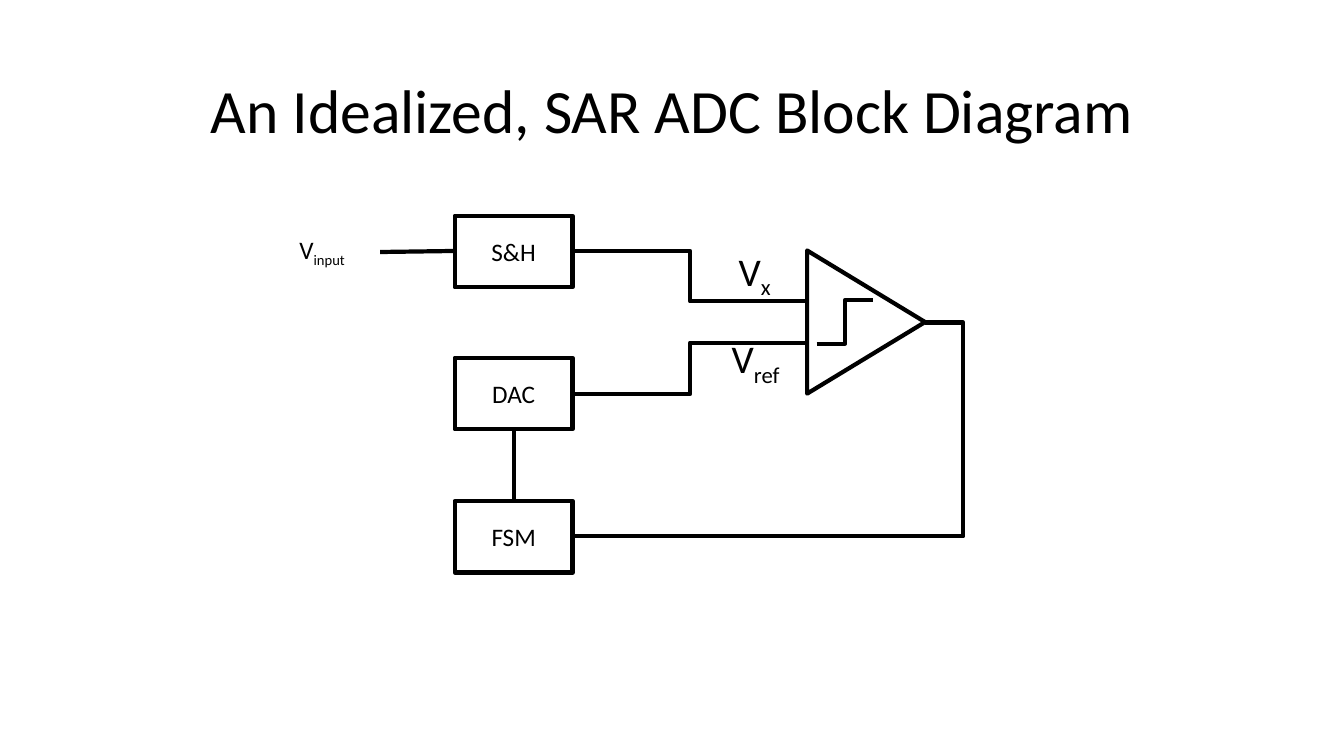
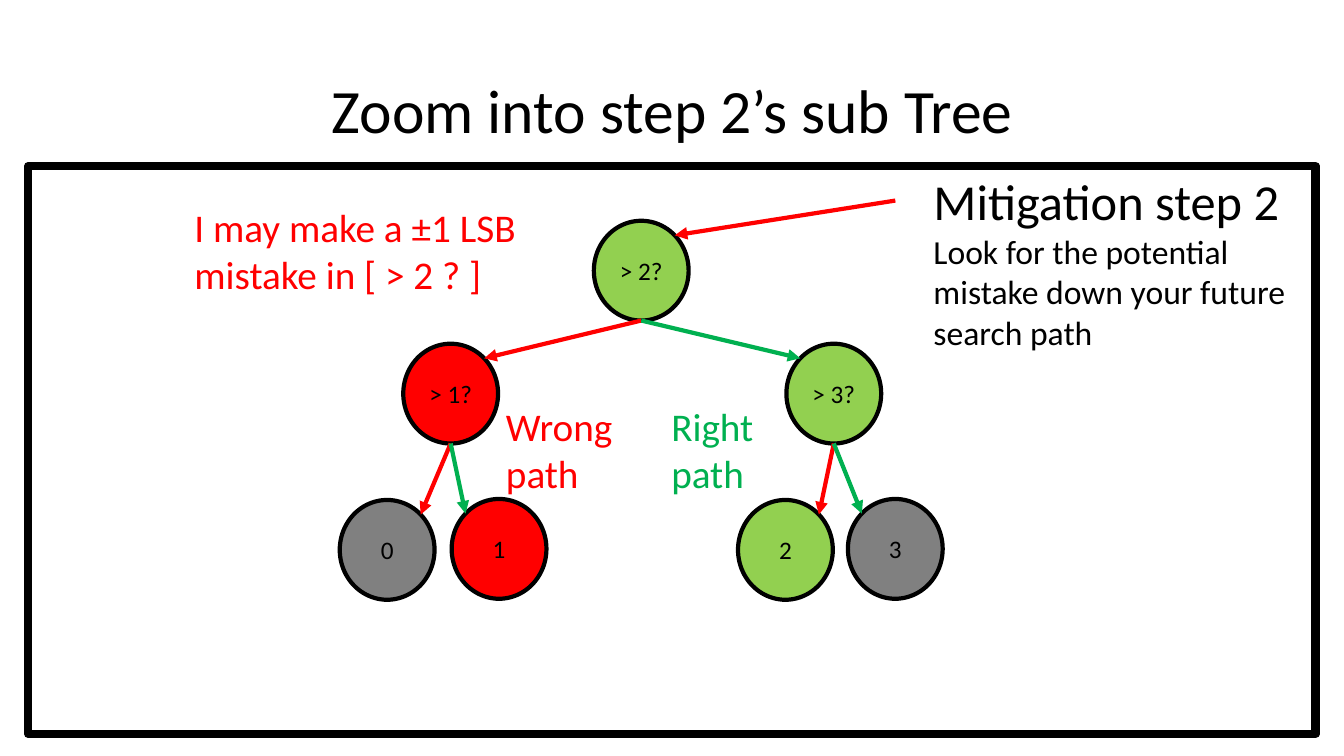
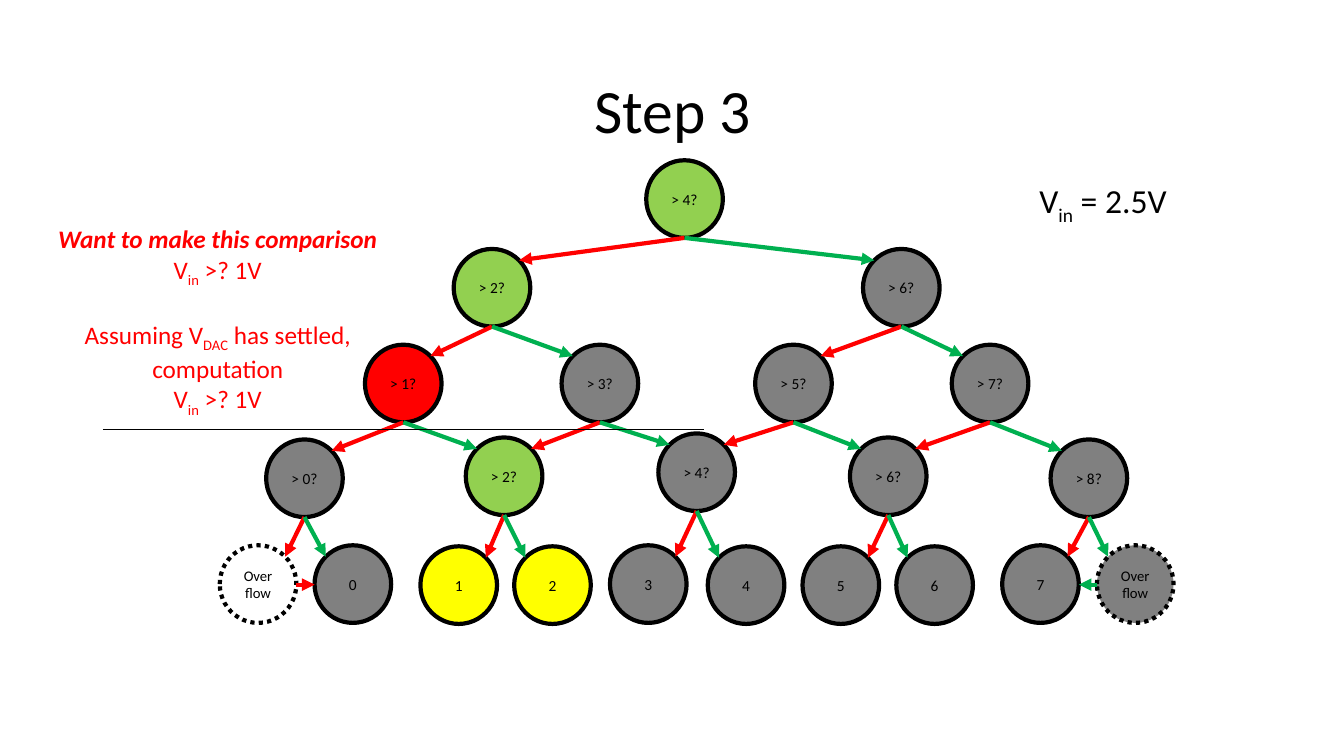
import dataclasses

import pptx
import pptx.dml.color
import pptx.enum.dml
import pptx.enum.shapes
import pptx.enum.text
import pptx.oxml.ns
import pptx.util
from lxml import etree

RGB = pptx.dml.color.RGBColor
BLACK = RGB(0x00, 0x00, 0x00)
RED = RGB(0xFF, 0x00, 0x00)
GREEN = RGB(0x00, 0xB0, 0x50)
LIME = RGB(0x92, 0xD0, 0x50)
GRAY = RGB(0x80, 0x80, 0x80)
YELLOW = RGB(0xFF, 0xFF, 0x00)

FONT = "Calibri"
SHAPE = pptx.enum.shapes.MSO_SHAPE
CONNECTOR = pptx.enum.shapes.MSO_CONNECTOR
ANCHOR = pptx.enum.text.MSO_ANCHOR
ALIGN = pptx.enum.text.PP_ALIGN
STROKE = 3
DIAGONAL = 0.5 ** 0.5


@dataclasses.dataclass
class Run:
    text: str
    size: float = None
    sub: bool = False
    bold: bool = False
    italic: bool = False


def px(n):
    """100 px make one inch."""
    return pptx.util.Emu(round(n * 9144))


def add_xml(parent, tag, **attrs):
    return etree.SubElement(parent, pptx.oxml.ns.qn(tag), attrs)


def write(tf, paragraphs, size, color=BLACK, align=ALIGN.CENTER):
    """Fill a text frame; each paragraph is a list of Run."""
    tf.word_wrap = True
    for i, runs in enumerate(paragraphs):
        p = tf.paragraphs[0] if i == 0 else tf.add_paragraph()
        p.alignment = align
        for run in runs:
            r = p.add_run()
            r.text = run.text
            r.font.name = FONT
            r.font.size = pptx.util.Pt(run.size or size)
            r.font.color.rgb = color
            if run.bold:
                r.font.bold = True
            if run.italic:
                r.font.italic = True
            if run.sub:
                r.font._element.set("baseline", "-25000")


def text(s, box, paragraphs, size, color=BLACK, align=ALIGN.LEFT, anchor=ANCHOR.TOP):
    tf = s.shapes.add_textbox(*map(px, box)).text_frame
    tf.vertical_anchor = anchor
    write(tf, paragraphs, size, color, align)
    return tf


def signal(s, box, name, index, size):
    """Signal name with a subscript, centred in its box."""
    text(s, box, [[Run(name), Run(index, sub=True)]], size,
         align=ALIGN.CENTER, anchor=ANCHOR.MIDDLE)


def shape(s, kind, box, lines=(), size=18, fill=None, width=STROKE):
    sp = s.shapes.add_shape(kind, *map(px, box))
    sp.shadow.inherit = False
    if fill is None:
        sp.fill.background()
    else:
        sp.fill.solid()
        sp.fill.fore_color.rgb = fill
    sp.line.color.rgb = BLACK
    sp.line.width = pptx.util.Pt(width)
    if lines:
        sp.text_frame.vertical_anchor = ANCHOR.MIDDLE
        write(sp.text_frame, [[Run(line)] for line in lines], size)
    return sp


def connect(s, start, end, color=BLACK, width=STROKE, kind=CONNECTOR.STRAIGHT,
            arrow=False, bend=None):
    """Line between two points; bend is the elbow's share of the way across."""
    cn = s.shapes.add_connector(kind, *map(px, (*start, *end)))
    cn.line.color.rgb = color
    cn.line.width = pptx.util.Pt(width)
    if arrow:
        add_xml(cn.line._get_or_add_ln(), "a:tailEnd", type="triangle")
    sp_pr = cn._element.spPr
    if bend is not None:
        guides = sp_pr.prstGeom.get_or_add_avLst()
        add_xml(guides, "a:gd", name="adj1", fmla=f"val {round(bend * 100000)}")
    add_xml(sp_pr, "a:effectLst")


def elbow(s, start, end, bend=None):
    connect(s, start, end, kind=CONNECTOR.ELBOW, bend=bend)


class Tree:
    """Circles of one size, joined by red (left) and green (right) arrows."""

    def __init__(self, s, width, height, size):
        self.s, self.width, self.height, self.size = s, width, height, size

    def row(self, nodes):
        for label, x, y, fill in nodes:
            lines = label.split()if label == "Over flow" else [label]
            size = 10.5 if len(lines) > 1 else self.size
            sp = shape(self.s, SHAPE.OVAL, (x, y, self.width, self.height),
                       lines, size, fill)
            if len(lines) > 1:
                sp.line.dash_style = pptx.enum.dml.MSO_LINE.ROUND_DOT
        return [(x + self.width / 2, y + self.height / 2) for _, x, y, _ in nodes]

    def corner(self, center, side):
        """Upper diagonal point of a circle; side is -1 for left, 1 for right."""
        x, y = center
        return (x + side * self.width / 2 * DIAGONAL, y - self.height / 2 * DIAGONAL)

    def link(self, parents, children, step=2):
        """Join parent i to children step * i and step * i + 1."""
        for i, (x, y) in enumerate(parents):
            left, right = children[step * i:step * i + 2]
            start = (x, y + self.height / 2)
            connect(self.s, start, self.corner(left, 1), RED, arrow=True)
            connect(self.s, start, self.corner(right, -1), GREEN, arrow=True)


def new_slide(prs, title):
    s = prs.slides.add_slide(prs.slide_layouts[6])
    tf = text(s, (92, 40, 1150, 145), [[Run(title)]], 44,
              align=ALIGN.CENTER, anchor=ANCHOR.MIDDLE)
    tf.paragraphs[0].line_spacing = 0.9
    return s


def block_diagram(prs):
    s = new_slide(prs, "An Idealized, SAR ADC Block Diagram")
    left, width, height = 451, 117, 71
    right, middle = left + width, left + width / 2
    for label, top in (("S&H", 214), ("DAC", 355), ("FSM", 497)):
        shape(s, SHAPE.RECTANGLE, (left, top, width, height), [label])

    comparator = shape(s, SHAPE.ISOSCELES_TRIANGLE, (788, 261, 142, 117))
    comparator.rotation = 90
    elbow(s, (810, 341), (866, 298))

    elbow(s, (801, 340), (right, 391))
    elbow(s, (801, 299), (right, 249))
    elbow(s, (918, 320), (right, 532), bend=-0.107)
    connect(s, (middle, 426), (middle, 497))
    connect(s, (left, 249), (377, 250))

    signal(s, (261, 214, width, height), "V", "input", 18)
    signal(s, (690, 236, width, height), "V", "x", 28)
    signal(s, (691, 323, width, height), "V", "ref", 28)


def sub_tree(prs):
    s = new_slide(prs, "Zoom into step 2’s sub Tree")
    tree = Tree(s, 94, 99, 18)
    root = tree.row([("> 2?", 589, 219, LIME)])
    branches = tree.row([("> 1?", 400, 341, RED), ("> 3?", 780, 341, LIME)])
    leaves = tree.row([("0", 337, 496, GRAY), ("1", 448, 495, RED),
                       ("2", 732, 496, LIME), ("3", 841, 495, GRAY)])
    tree.link(root, branches)
    tree.link(branches, leaves)
    connect(s, (888, 199), tree.corner(root[0], 1), RED, arrow=True)

    shape(s, SHAPE.RECTANGLE, (28, 165, 1277, 563), width=6)
    text(s, (183, 197, 453, 104),
         [[Run("I may make a ±1 LSB mistake in [ > 2 ? ]")]], 28, RED)
    text(s, (916, 164, 392, 192),
         [[Run("Mitigation step 2", size=36)],
          [Run("Look for the potential mistake down your future search path")]], 24)
    text(s, (656, 394, 134, 104), [[Run("Right path")]], 28, GREEN)
    text(s, (492, 394, 134, 104), [[Run("Wrong path")]], 28, RED)


def step_three(prs):
    s = new_slide(prs, "Step 3")
    tree = Tree(s, 76, 77, 11)
    rows = [tree.row(nodes) for nodes in (
        [("> 4?", 641, 159, LIME)],
        [("> 2?", 450, 247, LIME), ("> 6?", 856, 247, GRAY)],
        [("> 1?", 362, 342, RED), ("> 3?", 557, 342, GRAY),
         ("> 5?", 749, 342, GRAY), ("> 7?", 944, 342, GRAY)],
        [("> 0?", 264, 436, GRAY), ("> 2?", 462, 434, LIME),
         ("> 4?", 653, 430, GRAY), ("> 6?", 843, 434, GRAY),
         ("> 8?", 1042, 436, GRAY)],
        [("Over flow", 218, 541, None), ("0", 312, 541, GRAY),
         ("1", 417, 542, YELLOW), ("2", 510, 542, YELLOW),
         ("3", 605, 541, GRAY), ("4", 702, 542, GRAY),
         ("5", 796, 542, GRAY), ("6", 889, 542, GRAY),
         ("7", 994, 541, GRAY), ("Over flow", 1088, 541, GRAY)],
    )]
    for parents, children, step in zip(rows, rows[1:], (2, 2, 1, 2)):
        tree.link(parents, children, step)
    connect(s, (294, 580), (312, 580), RED, arrow=True)
    connect(s, (1088, 580), (1070, 580), GREEN, arrow=True)

    comparison = [Run("V"), Run("in", sub=True), Run(" >? 1V")]
    tf = text(s, (41, 217, 350, 192),
              [[Run("Want to make this comparison", bold=True, italic=True)],
               comparison,
               [Run("Assuming V"), Run("DAC", sub=True), Run(" has settled,")],
               [Run("computation")],
               comparison], 18, RED, ALIGN.CENTER)
    tf.paragraphs[2].space_before = pptx.util.Pt(22)
    connect(s, (102, 426), (698, 426), width=0.5)
    text(s, (1021, 174, 248, 50),
         [[Run("V"), Run("in", sub=True), Run(" = 2.5V")]], 24)


def main():
    prs = pptx.Presentation()
    prs.slide_width, prs.slide_height = px(1333), px(750)
    block_diagram(prs)
    sub_tree(prs)
    step_three(prs)
    prs.save("out.pptx")


if __name__ == "__main__":
    main()
